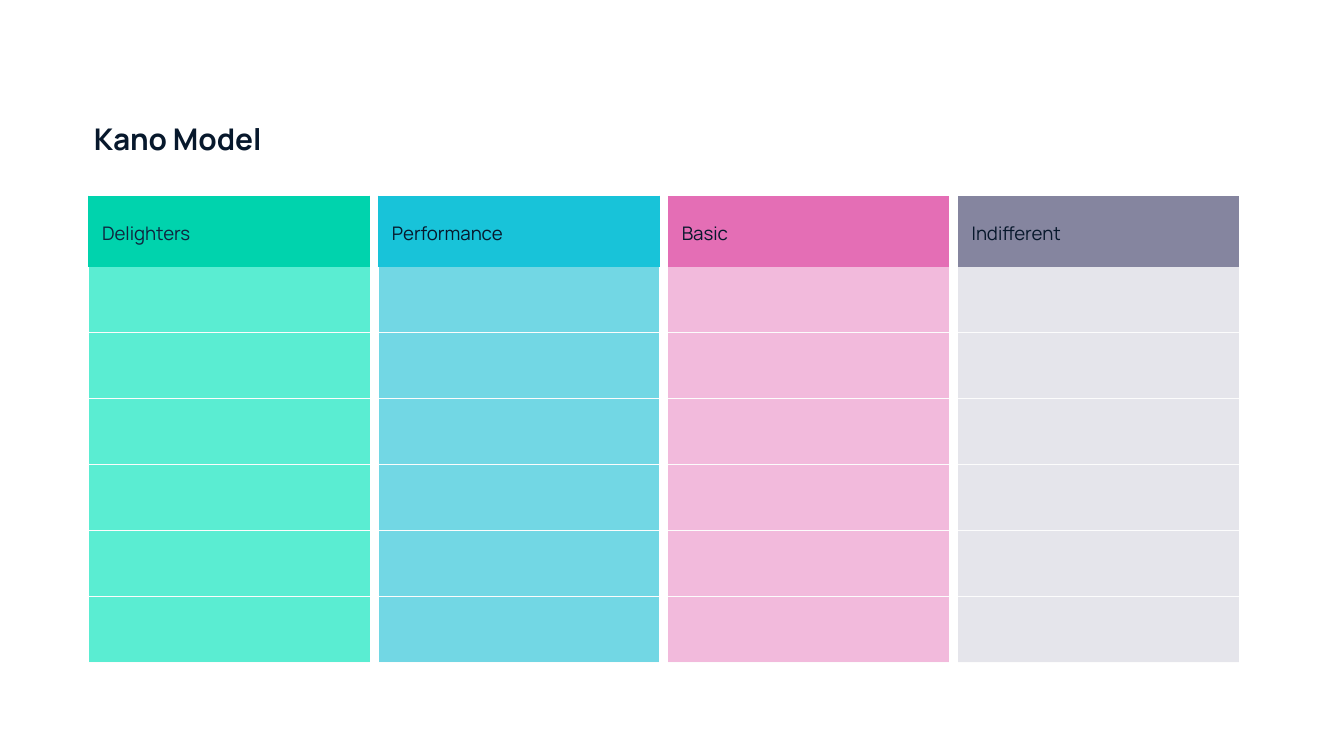
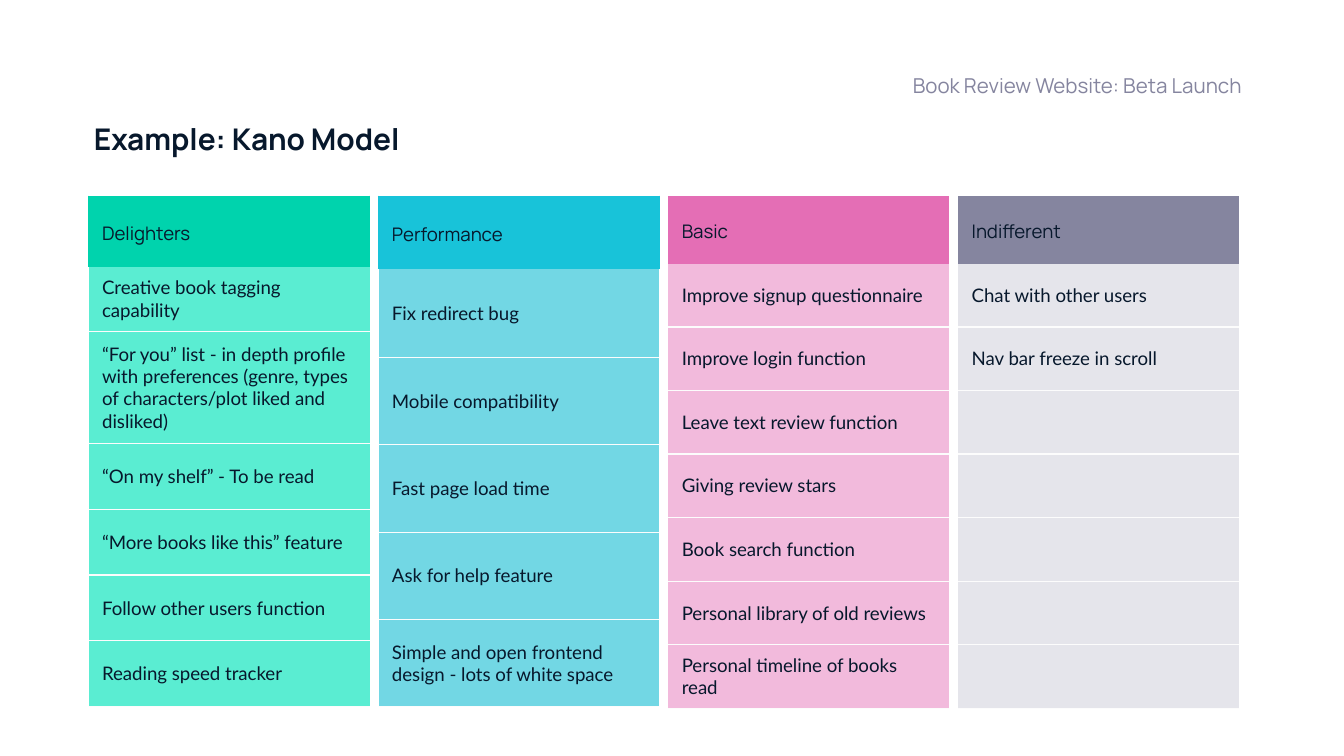
import dataclasses

import lxml.etree
import pptx
import pptx.dml.color
import pptx.enum.text
import pptx.oxml.ns
import pptx.util


@dataclasses.dataclass(frozen=True)
class Theme:
    ink: str = "07182C"
    soft_ink: str = "0F243E"
    muted: str = "85859F"
    paper: str = "FFFFFF"
    rule: str = "FCFCFC"
    heading_font: str = "Manrope"
    body_font: str = "Lato"
    title_size: float = 16
    caption_size: float = 11
    cell_size: float = 10
    rule_width: float = 0.75


@dataclasses.dataclass(frozen=True)
class Category:
    name: str
    strong: str
    pale: str
    right_inset: float = 1
    boxed_header: bool = False


CATEGORIES = [
    Category("Delighters", "00D3AD", "5AEDD2", boxed_header=True),
    Category("Performance", "18C3D9", "72D7E4", right_inset=2, boxed_header=True),
    Category("Basic", "E46EB5", "F2BADC"),
    Category("Indifferent", "85859F", "E5E5EB"),
]

# The grid has square cells: 100 columns across the slide.
GRID_COLUMNS, GRID_ROWS = 100, 56.25
TABLE_LEFT, TABLE_RIGHT, TABLE_TOP, TABLE_WIDTH = 6.6, 92.2, 14.6, 20.9
TABLE_PITCH = (TABLE_RIGHT - TABLE_LEFT - TABLE_WIDTH) / (len(CATEGORIES) - 1)


def grid(count):
    """Turn a number of grid cells into a length."""
    return pptx.util.Inches(count * 10 / GRID_COLUMNS)


def rgb(value):
    return pptx.dml.color.RGBColor.from_string(value)


class KanoDeck:
    def __init__(self, theme):
        self.theme = theme
        self.deck = pptx.Presentation()
        self.deck.slide_width = grid(GRID_COLUMNS)
        self.deck.slide_height = grid(GRID_ROWS)
        self.page = None

    def new_page(self):
        self.page = self.deck.slides.add_slide(self.deck.slide_layouts[6])
        background = self.page.background.fill
        background.solid()
        background.fore_color.rgb = rgb(self.theme.paper)

    def add_span(self, para, text, font, size, color, bold=False):
        span = para.add_run()
        span.text = text
        span.font.name = font
        span.font.size = pptx.util.Pt(size)
        span.font.color.rgb = rgb(color)
        span.font.bold = bold

    def text_box(self, left, top, width, height, bottom_inset=1):
        box = self.page.shapes.add_textbox(*map(grid, (left, top, width, height)))
        frame = box.text_frame
        frame.word_wrap = True
        frame.margin_left = frame.margin_right = frame.margin_top = grid(1)
        frame.margin_bottom = grid(bottom_inset)
        return frame

    def title(self, text):
        frame = self.text_box(6, 8, 64.9, 4.7)
        self.add_span(frame.paragraphs[0], text, self.theme.heading_font,
                      self.theme.title_size, self.theme.ink, bold=True)

    def caption(self, text):
        frame = self.text_box(50, 4.6, 43.4, 3.3, bottom_inset=0.6)
        frame.vertical_anchor = pptx.enum.text.MSO_ANCHOR.BOTTOM
        para = frame.paragraphs[0]
        para.alignment = pptx.enum.text.PP_ALIGN.RIGHT
        self.add_span(para, text, self.theme.heading_font,
                      self.theme.caption_size, self.theme.muted)

    def borders(self, cell, side, top, bottom):
        """Draw the cell's edges; a side of None leaves left and right open."""
        properties = cell._tc.get_or_add_tcPr()
        qn = pptx.oxml.ns.qn
        for edge, color in (("L", side), ("R", side), ("T", top), ("B", bottom)):
            line = lxml.etree.SubElement(properties, qn(f"a:ln{edge}"))
            line.set("w", str(int(pptx.util.Pt(self.theme.rule_width))))
            if color is None:
                lxml.etree.SubElement(line, qn("a:noFill"))
            else:
                fill = lxml.etree.SubElement(line, qn("a:solidFill"))
                lxml.etree.SubElement(fill, qn("a:srgbClr")).set("val", color)

    def paint(self, cell, color, right_inset, vertical_inset):
        cell.fill.solid()
        cell.fill.fore_color.rgb = rgb(color)
        cell.vertical_anchor = pptx.enum.text.MSO_ANCHOR.MIDDLE
        cell.margin_left = grid(1)
        cell.margin_right = grid(right_inset)
        cell.margin_top = cell.margin_bottom = grid(vertical_inset)

    def category_table(self, position, category, heights, features, header_ink):
        theme = self.theme
        left = TABLE_LEFT + position * TABLE_PITCH
        table = self.page.shapes.add_table(
            len(heights), 1, grid(left), grid(TABLE_TOP),
            grid(TABLE_WIDTH), grid(sum(heights))).table
        table.first_row = table.horz_banding = False
        for row, height in zip(table.rows, heights):
            row.height = grid(height)

        header = table.cell(0, 0)
        side = category.strong if category.boxed_header else None
        self.borders(header, side, category.strong, category.strong)
        self.paint(header, category.strong, category.right_inset, 1)
        para = header.text_frame.paragraphs[0]
        para.line_spacing = 1.15
        para.space_after = pptx.util.Pt(12)
        self.add_span(para, category.name, theme.heading_font, theme.cell_size, header_ink)

        for index in range(1, len(heights)):
            cell = table.cell(index, 0)
            top = category.strong if index == 1 else theme.rule
            self.borders(cell, None, top, theme.rule)
            self.paint(cell, category.pale, category.right_inset, 0)
            if index <= len(features):
                para = cell.text_frame.paragraphs[0]
                para.space_after = pptx.util.Pt(5)
                self.add_span(para, features[index - 1], theme.body_font,
                              theme.cell_size, theme.ink)


EXAMPLE = {
    "Delighters": ([5.2, 4.9, 8.3] + [4.9] * 4, [
        "Creative book tagging capability",
        "“For you” list - in depth profile with preferences "
        "(genre, types of characters/plot liked and disliked)",
        "“On my shelf” - To be read",
        "“More books like this” feature",
        "Follow other users function",
        "Reading speed tracker",
    ]),
    "Performance": ([5.4, 6.6] + [6.5] * 4, [
        "Fix redirect bug",
        "Mobile compatibility",
        "Fast page load time",
        "Ask for help feature",
        "Simple and open frontend design - lots of white space",
    ]),
    "Basic": ([5] + [4.73] * 7, [
        "Improve signup questionnaire",
        "Improve login function",
        "Leave text review function",
        "Giving review stars",
        "Book search function",
        "Personal library of old reviews",
        "Personal timeline of books read",
    ]),
    "Indifferent": ([5] + [4.73] * 7, [
        "Chat with other users",
        "Nav bar freeze in scroll",
    ]),
}


def main():
    theme = Theme()
    kano = KanoDeck(theme)

    kano.new_page()
    kano.title("Kano Model")
    for position, category in enumerate(CATEGORIES):
        header_ink = theme.soft_ink if position == 0 else theme.ink
        kano.category_table(position, category, [5.25] + [4.91] * 6, [], header_ink)

    kano.new_page()
    kano.title("Example: Kano Model")
    kano.caption("Book Review Website: Beta Launch")
    for position, category in enumerate(CATEGORIES):
        heights, features = EXAMPLE[category.name]
        kano.category_table(position, category, heights, features, theme.ink)

    kano.deck.save("out.pptx")


if __name__ == "__main__":
    main()
